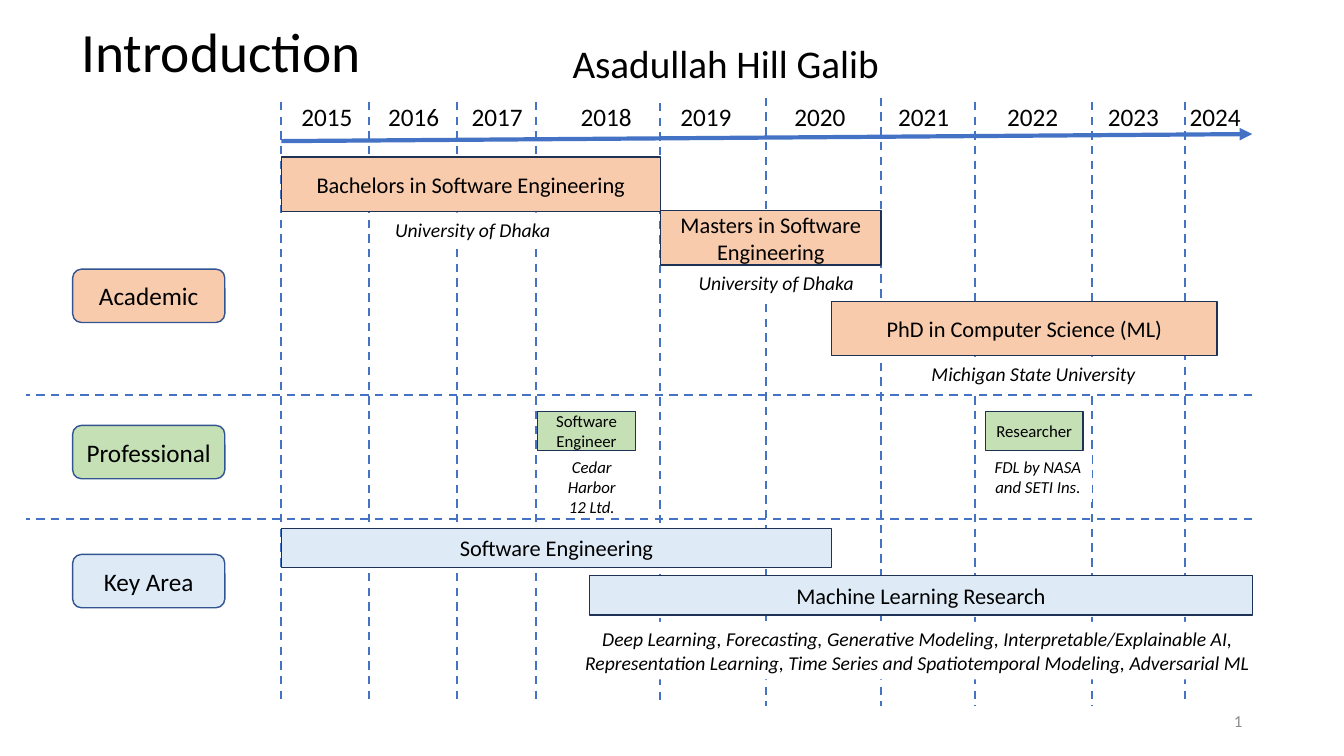
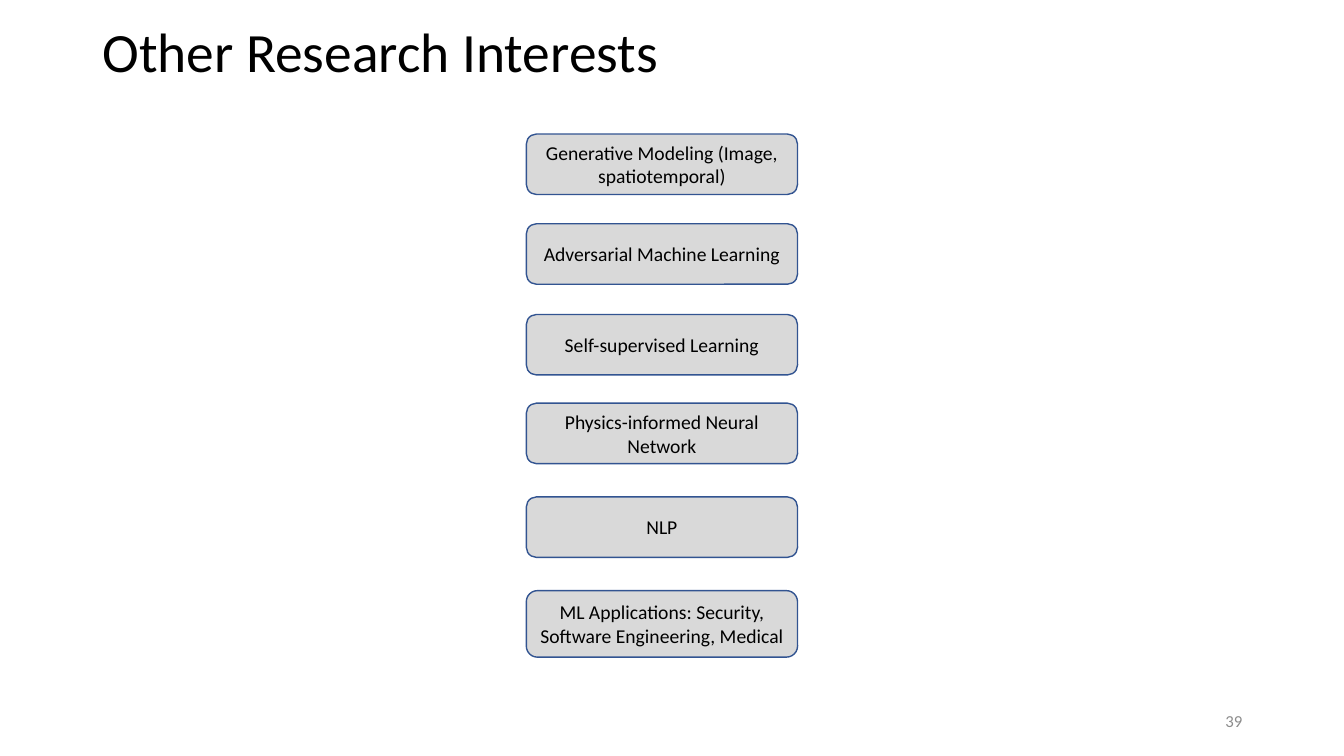
from lxml import etree
from pptx import Presentation
from pptx.dml.color import RGBColor
from pptx.enum.dml import MSO_LINE
from pptx.enum.shapes import MSO_CONNECTOR, MSO_SHAPE
from pptx.enum.text import MSO_ANCHOR, MSO_AUTO_SIZE, PP_ALIGN
from pptx.oxml.ns import qn
from pptx.util import Inches, Pt

RECT, ROUNDED = MSO_SHAPE.RECTANGLE, MSO_SHAPE.ROUNDED_RECTANGLE
STRAIGHT, DASH = MSO_CONNECTOR.STRAIGHT, MSO_LINE.DASH
LEFT, CENTER, RIGHT = PP_ALIGN.LEFT, PP_ALIGN.CENTER, PP_ALIGN.RIGHT
TOP, MIDDLE = MSO_ANCHOR.TOP, MSO_ANCHOR.MIDDLE
GROW = MSO_AUTO_SIZE.SHAPE_TO_FIT_TEXT

WIDTH, HEIGHT = Inches(13.33), Inches(7.5)
COL, ROW = WIDTH / 133.3, HEIGHT / 75
FONT = "Calibri"
COLORS = {
    "text": "000000", "number": "8C8C8C", "paper": "FFFFFF", "axis": "4472C4",
    "badge_edge": "325491", "bar_edge": "1E3256", "academic": "F8CBAD",
    "professional": "C5E0B4", "key": "DEEBF7", "interest": "D9D9D9",
}

YEARS = [
    (2015, 27.9, 32.45, 10.1, 69.4), (2016, 36.6, 41.05, 10.1, 69.4),
    (2017, 45.3, 49.35, 10.1, 69.4), (2018, 53.2, 60.15, 10.1, 69.4),
    (2019, 65.5, 70.05, 10.2, 70), (2020, 76, 81.35, 9.7, 70),
    (2021, 87.4, 91.65, 9.7, 70), (2022, 96.7, 102.45, 10.1, 70),
    (2023, 108.35, 112.45, 10.1, 70), (2024, 117.5, 120.55, 10.1, 69.4),
]
AXIS_END = 124.2
EDGES = [edge for _, edge, _, _, _ in YEARS] + [AXIS_END]

SECTIONS = [
    {"name": "Academic", "fill": "academic", "top": 14, "badge": 12.7,
     "bar_height": 5.4, "bar_size": 16, "note_size": 14, "note_height": 3.4,
     "note_gap": 0.1, "note_wrap": False,
     "bars": [
         (["Bachelors in Software Engineering"], 2015, 2019, 1.6,
          ["University of Dhaka"], 47, 17.6),
         (["Masters in Software Engineering"], 2019, 2021, 6.9,
          ["University of Dhaka"], 77.1, 17.6),
         (["PhD in Computer Science (ML)"], 2020.57, 2024.48, 15.9,
          ["Michigan State University"], 102.65, 22.5)]},
    {"name": "Professional", "fill": "professional", "top": 39.2, "badge": 3,
     "bar_height": 3.9, "bar_size": 12, "note_size": 12, "note_height": 5,
     "note_gap": 0.1, "note_wrap": True,
     "bars": [
         (["Software", "Engineer"], 2018.01, 2018.8, 1.6,
          ["Cedar Harbor", "12 Ltd."], 58.7, 10.8),
         (["Researcher"], 2022.09, 2022.92, 1.6,
          ["FDL by NASA and SETI Ins."], 102.95, 10.7)]},
    {"name": "Key Area", "fill": "key", "top": 51.5, "badge": 3.5,
     "bar_height": 3.9, "bar_size": 16, "note_size": 14, "note_height": 5.7,
     "note_gap": 0.7, "note_wrap": True,
     "bars": [
         (["Software Engineering"], 2015, 2020.57, 0.9, None, 0, 0),
         (["Machine Learning Research"], 2018.43, 2025, 5.6,
          ["Deep Learning, Forecasting, Generative Modeling, "
           "Interpretable/Explainable AI, Representation Learning, Time Series "
           "and Spatiotemporal Modeling, Adversarial ML"], 91, 68.2)]},
]

INTERESTS = [
    ("Generative Modeling (Image, spatiotemporal)", 13.3, 6),
    ("Adversarial Machine Learning", 22.2, 6),
    ("Self-supervised Learning", 31.2, 6),
    ("Physics-informed Neural Network", 40, 6),
    ("NLP", 49.3, 6),
    ("ML Applications: Security, Software Engineering, Medical", 58.6, 6.6),
]


def color(key):
    """Return the palette colour for a key."""
    return RGBColor.from_string(COLORS[key])


def grid(left, top, width, height):
    """Turn a box in grid columns and rows into slide lengths."""
    return round(left * COL), round(top * ROW), round(width * COL), round(height * ROW)


def year_column(moment):
    """Return the grid column of a moment on the uneven year axis."""
    index = min(int(moment) - YEARS[0][0], len(EDGES) - 2)
    start, end = EDGES[index:index + 2]
    return start + (moment - YEARS[0][0] - index) * (end - start)


def write(shape, lines, size, align=CENTER, ink="text", italic=False, spacing=None, **frame):
    """Fill a shape with formatted paragraphs."""
    text = shape.text_frame
    text.text = "\n".join(lines)
    for name, value in {"word_wrap": True, "vertical_anchor": MIDDLE, **frame}.items():
        setattr(text, name, value)
    for paragraph in text.paragraphs:
        paragraph.alignment = align
        if spacing:
            paragraph.line_spacing = spacing
        for name, value in {"name": FONT, "size": Pt(size), "italic": italic}.items():
            setattr(paragraph.font, name, value)
        paragraph.font.color.rgb = color(ink)


def add_label(slide, box, lines, size, **style):
    """Place plain text in a box."""
    label = slide.shapes.add_textbox(*grid(*box))
    write(label, lines, size, **style)
    return label


def add_block(slide, kind, box, fill, edge, lines, size):
    """Place a filled, outlined shape with centred text."""
    block = slide.shapes.add_shape(kind, *grid(*box))
    block.shadow.inherit = False
    block.fill.solid()
    block.fill.fore_color.rgb = color(fill)
    block.line.color.rgb = color(edge)
    block.line.width = Pt(1)
    write(block, lines, size)


def add_rule(slide, start, end, weight=1.5, arrow=False):
    """Draw a dashed guide, or a solid arrow."""
    ends = grid(*start, *end)
    rule = slide.shapes.add_connector(STRAIGHT, *ends)
    rule.line.color.rgb = color("axis")
    rule.line.width = Pt(weight)
    if arrow:
        etree.SubElement(rule.line._get_or_add_ln(), qn("a:tailEnd"), type="triangle")
    else:
        rule.line.dash_style = DASH
    etree.SubElement(rule._element.spPr, qn("a:effectLst"))


def start_slide(deck, title, title_left, number):
    """Add a blank slide with the shared title and slide number."""
    slide = deck.slides.add_slide(deck.slide_layouts[6])
    add_label(slide, (title_left, 1.7, 124.1 - title_left, 7.4), [title], 39.6,
              align=LEFT, spacing=0.9)
    add_label(slide, (94.2, 69.5, 30, 4), [number], 12, align=RIGHT, ink="number")
    return slide


def draw_axis(slide):
    """Draw the year axis with its guides, labels and section dividers."""
    add_rule(slide, (EDGES[0], 14), (AXIS_END, 13.3), weight=3, arrow=True)
    for year, edge, middle, top, bottom in YEARS:
        add_rule(slide, (edge, top), (edge, bottom))
        add_label(slide, (middle - 3.55, 9.6, 7.1, 4), [str(year)], 18, align=LEFT,
                  vertical_anchor=TOP, word_wrap=False, auto_size=GROW)
    for section in SECTIONS[1:]:
        add_rule(slide, (AXIS_END, section["top"]), (2.6, section["top"]))


def draw_section(slide, section):
    """Draw a section's badge, bars and notes down from its top row."""
    top, height = section["top"], section["bar_height"]
    add_block(slide, ROUNDED, (7.2, top + section["badge"], 15.1, 5.3),
              section["fill"], "badge_edge", [section["name"]], 18)
    for lines, start, end, offset, note, middle, width in section["bars"]:
        left, bar_top = year_column(start), top + offset
        add_block(slide, RECT, (left, bar_top, year_column(end) - left, height),
                  section["fill"], "bar_edge", lines, section["bar_size"])
        if note:
            note_box = (middle - width / 2, bar_top + height + section["note_gap"],
                        width, section["note_height"])
            caption = add_label(slide, note_box, note, section["note_size"], italic=True,
                                align=CENTER if section["note_wrap"] else LEFT,
                                vertical_anchor=TOP, auto_size=GROW,
                                word_wrap=section["note_wrap"])
            caption.fill.solid()
            caption.fill.fore_color.rgb = color("paper")


def build_introduction(deck):
    """Build the career timeline slide."""
    slide = start_slide(deck, "Introduction", 7.1, "1")
    draw_axis(slide)
    for section in SECTIONS:
        draw_section(slide, section)
    add_label(slide, (55.8, 3.4, 35.5, 5.7), ["Asadullah Hill Galib"], 28, align=LEFT,
              vertical_anchor=TOP, auto_size=GROW)


def build_interests(deck):
    """Build the slide with the stack of research interests."""
    slide = start_slide(deck, "Other Research Interests", 9.2, "39")
    for interest, top, height in INTERESTS:
        add_block(slide, ROUNDED, (52.2, top, 26.9, height), "interest", "badge_edge",
                  [interest], 14)


def main():
    """Build and save the presentation."""
    deck = Presentation()
    deck.slide_width, deck.slide_height = WIDTH, HEIGHT
    build_introduction(deck)
    build_interests(deck)
    deck.save("out.pptx")


if __name__ == "__main__":
    main()
